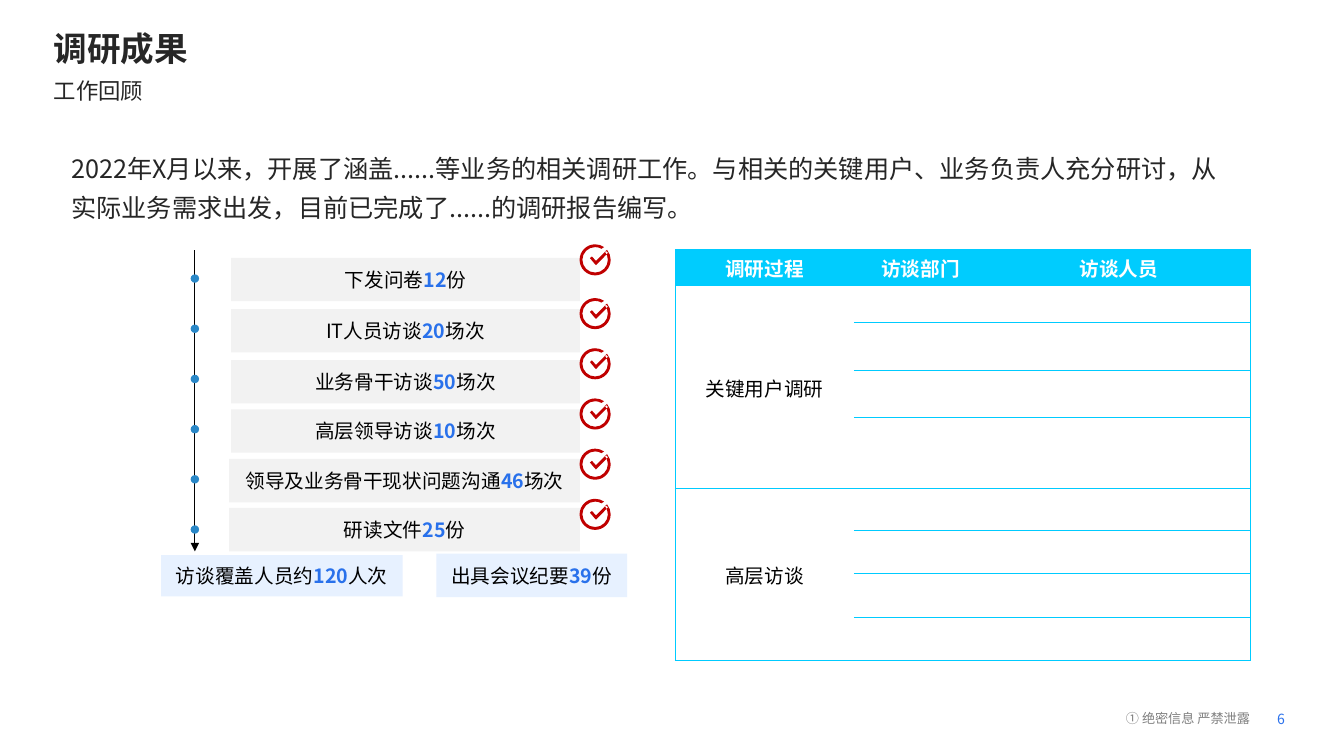
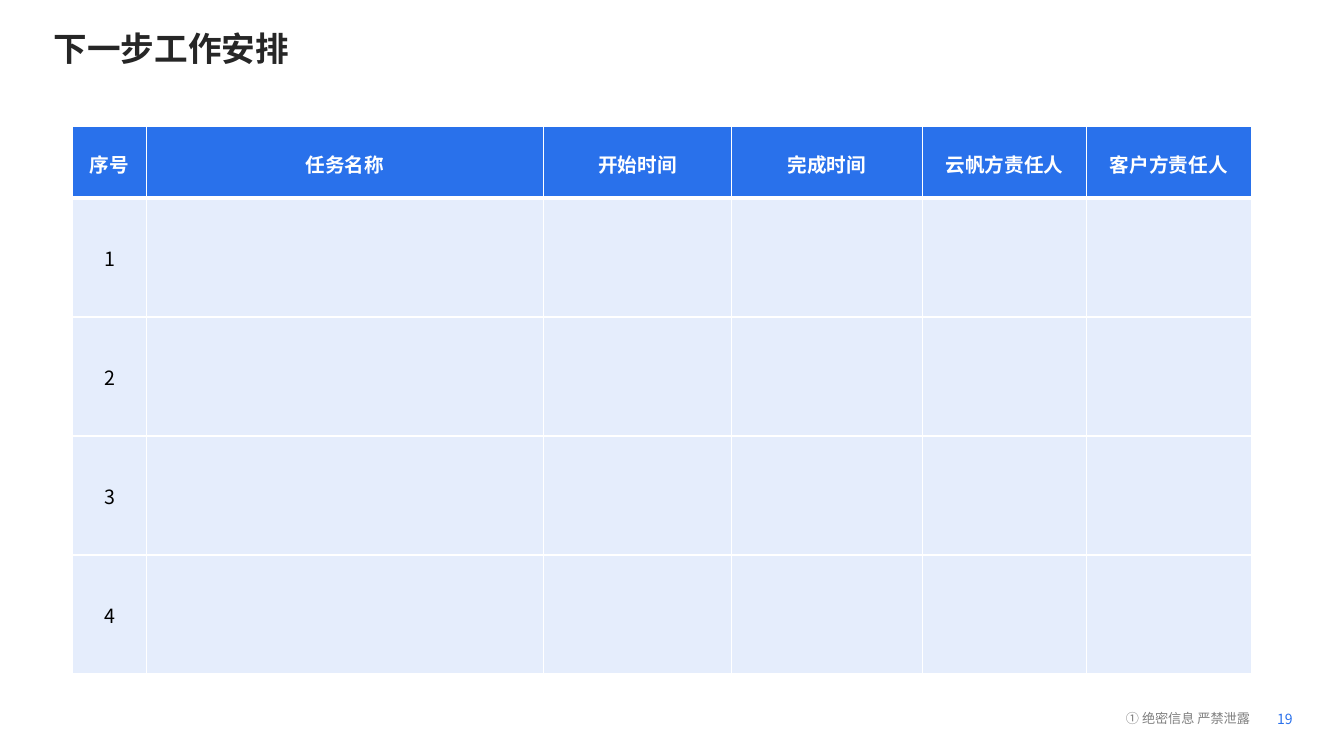
from itertools import pairwise
from math import cos, radians, sin, tan

from pptx import Presentation
from pptx.dml.color import RGBColor
from pptx.enum.shapes import MSO_CONNECTOR, MSO_SHAPE as SHAPE
from pptx.enum.text import MSO_ANCHOR as ANCHOR, PP_ALIGN as ALIGN
from pptx.oxml.ns import qn
from pptx.util import Pt
from lxml.etree import SubElement

# Shared style
FONT = "Noto Sans CJK SC"
BLACK, WHITE, INK, GRAY = "000000", "FFFFFF", "262626", "808080"
BLUE, PAGE_BLUE, DOT_BLUE, RED = "2971EB", "2A71EC", "2A88C8", "C00000"
CYAN, CYAN_LINE = "00CCFE", "00CBFF"
BAR_GRAY, SUMMARY_BLUE, CELL_BLUE = "F2F2F2", "E7F1FF", "E5EDFC"
FOOTER = "① 绝密信息 严禁泄露"
PLAIN_INSETS = (7.2, 3.6, 7.2, 3.6)

# Survey results
INTRO = ("2022年X月以来，开展了涵盖......等业务的相关调研工作。与相关的关键用户、业务负责人充分研讨，"
         "从实际业务需求出发，目前已完成了......的调研报告编写。")
STEPS = [  # left, top, words around the figure
    (165.2, 184.2, ("下发问卷", "12", "份")),
    (165.2, 220.8, ("IT人员访谈", "20", "场次")),
    (165.2, 257.2, ("业务骨干访谈", "50", "场次")),
    (165.2, 292.4, ("高层领导访谈", "10", "场次")),
    (163.7, 327.8, ("领导及业务骨干现状问题沟通", "46", "场次")),
    (163.7, 362.8, ("研读文件", "25", "份")),
]
SUMMARIES = [  # place, words around the figure
    ((115, 396.5, 172.6, 29.5), ("访谈覆盖人员约", "120", "人次")),
    ((311.7, 395.5, 136.2, 31), ("出具会议纪要", "39", "份")),
]
SURVEY_HEADS = ["调研过程", "访谈部门", "访谈人员"]
SURVEY_GROUPS = ["关键用户调研", "高层访谈"]
GROUP_ROWS = 4
SURVEY_COLUMNS = [127.5, 95.2, 188.3]
SURVEY_ROWS = [25.5, 26.4, 34, 33.7, 50.9, 30, 30.5, 31.5, 31]
BAR_RIGHT, BAR_HEIGHT, AXIS_X, PITCH = 414.2, 31, 139.2, 35.85
INNER_ANGLES = [-60, -90, -180, -270, -360, -400]
OUTER_ANGLES = [-40, 0, 90, 180, 270, 305]
TICK = [(-0.7, 2.4), (-3.7, -1.2), (-2.3, -2.4), (0.6, 0.8), (7.8, -6.4), (9.3, -5), (0.6, 3.8)]

# Next steps
PLAN_HEADS = ["序号", "任务名称", "开始时间", "完成时间", "云帆方责任人", "客户方责任人"]
PLAN_NUMBERS = ["1", "2", "3", "4"]
PLAN_COLUMNS = [52.8, 283.5, 134.7, 136, 117.5, 117.5]
PLAN_ROWS = [51.5] + [85] * len(PLAN_NUMBERS)


def color(value):
    return RGBColor.from_string(value)


def points(*values):
    return [Pt(value) for value in values]


def write(frame, text, size, ink, bold=False, align=ALIGN.LEFT, spacing=None):
    """Write a string, or (before, figure, after) with the figure in bold blue."""
    para = frame.paragraphs[0]
    para.alignment = align
    if spacing:
        para.line_spacing = spacing
    font = para.font
    font.name, font.size, font.bold = FONT, Pt(size), bold
    font.color.rgb = color(ink)
    SubElement(para._p.pPr.find(qn("a:defRPr")), qn("a:ea"), typeface=FONT)
    parts = (text,) if isinstance(text, str) else text
    for index, part in enumerate(parts):
        span = para.add_run()
        span.text = part
        if index == 1:
            span.font.bold = True
            span.font.color.rgb = color(BLUE)


def set_frame(frame, insets, anchor):
    frame.word_wrap = True
    frame.vertical_anchor = anchor
    (frame.margin_left, frame.margin_top,
     frame.margin_right, frame.margin_bottom) = points(*insets)


def add_text(page, place, text, size, ink, insets=PLAIN_INSETS, anchor=ANCHOR.TOP, **style):
    frame = page.shapes.add_textbox(*points(*place)).text_frame
    set_frame(frame, insets, anchor)
    write(frame, text, size, ink, **style)


def paint(shape, fill):
    shape.shadow.inherit = False
    shape.fill.solid()
    shape.fill.fore_color.rgb = color(fill)
    shape.line.fill.background()


def add_bar(page, place, words, fill):
    bar = page.shapes.add_shape(SHAPE.RECTANGLE, *points(*place))
    paint(bar, fill)
    set_frame(bar.text_frame, (5, 5, 5, 5), ANCHOR.MIDDLE)
    write(bar.text_frame, words, 14, BLACK, align=ALIGN.CENTER)


def arc_point(radius, angle):
    return radius * cos(radians(angle)), radius * sin(radians(angle))


def arc_controls(radius, start, end):
    """The two control points of the Bezier curve along an arc."""
    reach = 4 / 3 * tan(radians(end - start) / 4)
    (x1, y1), (x2, y2) = arc_point(radius, start), arc_point(radius, end)
    return (x1 - reach * y1, y1 + reach * x1), (x2 + reach * y2, y2 - reach * x2)


def add_check(page, x, y):
    """A ring with a gap at its upper right, and a tick inside."""
    corners, curves = [], {}
    for radius, angles in ((9.1, INNER_ANGLES), (11.1, OUTER_ANGLES)):
        corners.append(arc_point(radius, angles[0]))
        for start, end in pairwise(angles):
            curves[len(corners) - 1] = arc_controls(radius, start, end)
            corners.append(arc_point(radius, end))
    ring, tick = [[points(x + dx, y + dy) for dx, dy in outline] for outline in (corners, TICK)]
    builder = page.shapes.build_freeform(*ring[0], scale=1.0)
    builder.add_line_segments(ring[1:], close=True)
    builder.move_to(*tick[0])
    builder.add_line_segments(tick[1:], close=True)
    check = builder.convert_to_shape()
    paint(check, RED)

    # Bend the ring's straight segments into curves
    segments = list(check._element.iter(qn("a:lnTo")))
    for index, controls in curves.items():
        segment = segments[index]
        segment.tag = qn("a:cubicBezTo")
        for place, (dx, dy) in enumerate(controls):
            point = SubElement(segment, qn("a:pt"), x=str(Pt(x + dx) - check.left),
                               y=str(Pt(y + dy) - check.top))
            segment.insert(place, point)


def add_axis(page, x, top, bottom):
    axis = page.shapes.add_connector(MSO_CONNECTOR.STRAIGHT, *points(x, top, x, bottom))
    axis.line.color.rgb = color(BLACK)
    axis.line.width = Pt(0.5)
    SubElement(axis.line._get_or_add_ln(), qn("a:tailEnd"), type="triangle")
    SubElement(axis._element.spPr, qn("a:effectLst"))


def add_grid(page, left, top, columns, rows):
    table = page.shapes.add_table(len(rows), len(columns), *points(
        left, top, sum(columns), sum(rows))).table
    for column, width in zip(table.columns, columns):
        column.width = Pt(width)
    for row, height in zip(table.rows, rows):
        row.height = Pt(height)
    return table


def style_cell(cell, fill, insets, line, **widths):
    """Border widths go by side (L, R, T, B); a side left out has no line."""
    props = cell._tc.get_or_add_tcPr()
    for side in "LRTB":
        width = widths.get(side, 0)
        border = SubElement(props, qn("a:ln" + side), w=str(Pt(width)))
        if width:
            SubElement(SubElement(border, qn("a:solidFill")), qn("a:srgbClr"), val=line)
        else:
            SubElement(border, qn("a:noFill"))
    cell.fill.solid()
    cell.fill.fore_color.rgb = color(fill)
    cell.vertical_anchor = ANCHOR.MIDDLE
    (cell.margin_left, cell.margin_top,
     cell.margin_right, cell.margin_bottom) = points(*insets)


def add_page(deck, title, number, subtitle=None):
    page = deck.slides.add_slide(deck.slide_layouts[6])
    add_text(page, (31.3, 16.6, 763, 36.7), title, 24, INK, bold=True)
    if subtitle:
        add_text(page, (31.3, 54, 613, 22.3), subtitle, 16, INK, spacing=0.9)
    add_text(page, (803.6, 505.4, 100, 13.7), FOOTER, 9.33, GRAY,
             insets=(0.7, 0.7, 0.7, 0.7), anchor=ANCHOR.MIDDLE, spacing=Pt(13.3))
    add_text(page, (912.2, 507.6, 18, 12.2), str(number), 10, PAGE_BLUE,
             insets=(0, 0, 0, 0), anchor=ANCHOR.MIDDLE)
    return page


def build_survey(deck):
    page = add_page(deck, "调研成果", 6, "工作回顾")
    add_text(page, (43.9, 99.4, 837.4, 79.2), INTRO, 18, INK, spacing=1.3)

    # Timeline with its steps
    add_axis(page, AXIS_X, 178.6, 393.8)
    for index, (left, top, words) in enumerate(STEPS):
        add_bar(page, (left, top, BAR_RIGHT - left, BAR_HEIGHT), words, BAR_GRAY)
        dot = page.shapes.add_shape(SHAPE.OVAL, *points(
            AXIS_X - 3, 196 + index * PITCH, 6, 6))
        paint(dot, DOT_BLUE)
        check_y = 224 + (index - 1) * PITCH if index else 185.6
        add_check(page, 425.1, check_y)
    for place, words in SUMMARIES:
        add_bar(page, place, words, SUMMARY_BLUE)

    # Interview table
    table = add_grid(page, 482.4, 178.6, SURVEY_COLUMNS, SURVEY_ROWS)
    last = len(SURVEY_COLUMNS) - 1
    for row in range(len(SURVEY_ROWS)):
        for column in range(last + 1):
            style_cell(table.cell(row, column), WHITE if row else CYAN, (1, 0.5, 1, 0), CYAN_LINE,
                       L=int(column == 0), R=int(column == last), T=1, B=1)
    for column, head in enumerate(SURVEY_HEADS):
        write(table.cell(0, column).text_frame, head, 14, WHITE, bold=True, align=ALIGN.CENTER)
    for index, group in enumerate(SURVEY_GROUPS):
        first = 1 + index * GROUP_ROWS
        table.cell(first, 0).merge(table.cell(first + GROUP_ROWS - 1, 0))
        write(table.cell(first, 0).text_frame, group, 14, BLACK, align=ALIGN.CENTER)


def build_plan(deck):
    page = add_page(deck, "下一步工作安排", 19)
    table = add_grid(page, 51.8, 90, PLAN_COLUMNS, PLAN_ROWS)
    for row in range(len(PLAN_ROWS)):
        for column in range(len(PLAN_COLUMNS)):
            style_cell(table.cell(row, column), CELL_BLUE if row else BLUE, (4, 3, 4, 3), WHITE,
                       L=1, R=1, T=3 if row == 1 else 1, B=1 if row else 3)
    for column, head in enumerate(PLAN_HEADS):
        write(table.cell(0, column).text_frame, head, 14, WHITE, bold=True,
              align=ALIGN.CENTER, spacing=1.1)
    for row, number in enumerate(PLAN_NUMBERS, 1):
        write(table.cell(row, 0).text_frame, number, 14, BLACK, align=ALIGN.CENTER)


def main():
    deck = Presentation()
    deck.slide_width, deck.slide_height = points(960, 540)
    build_survey(deck)
    build_plan(deck)
    deck.save("out.pptx")


if __name__ == "__main__":
    main()
